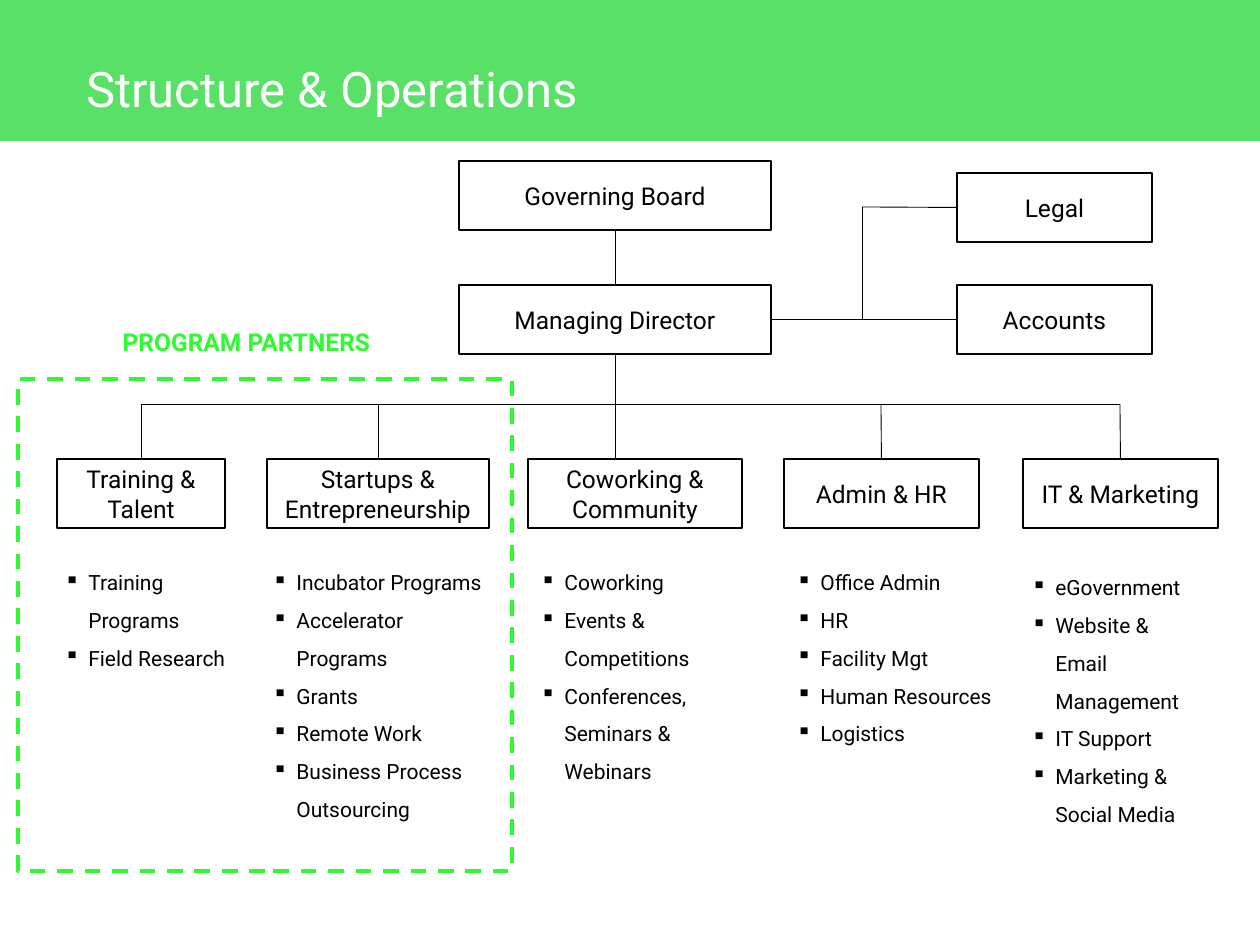
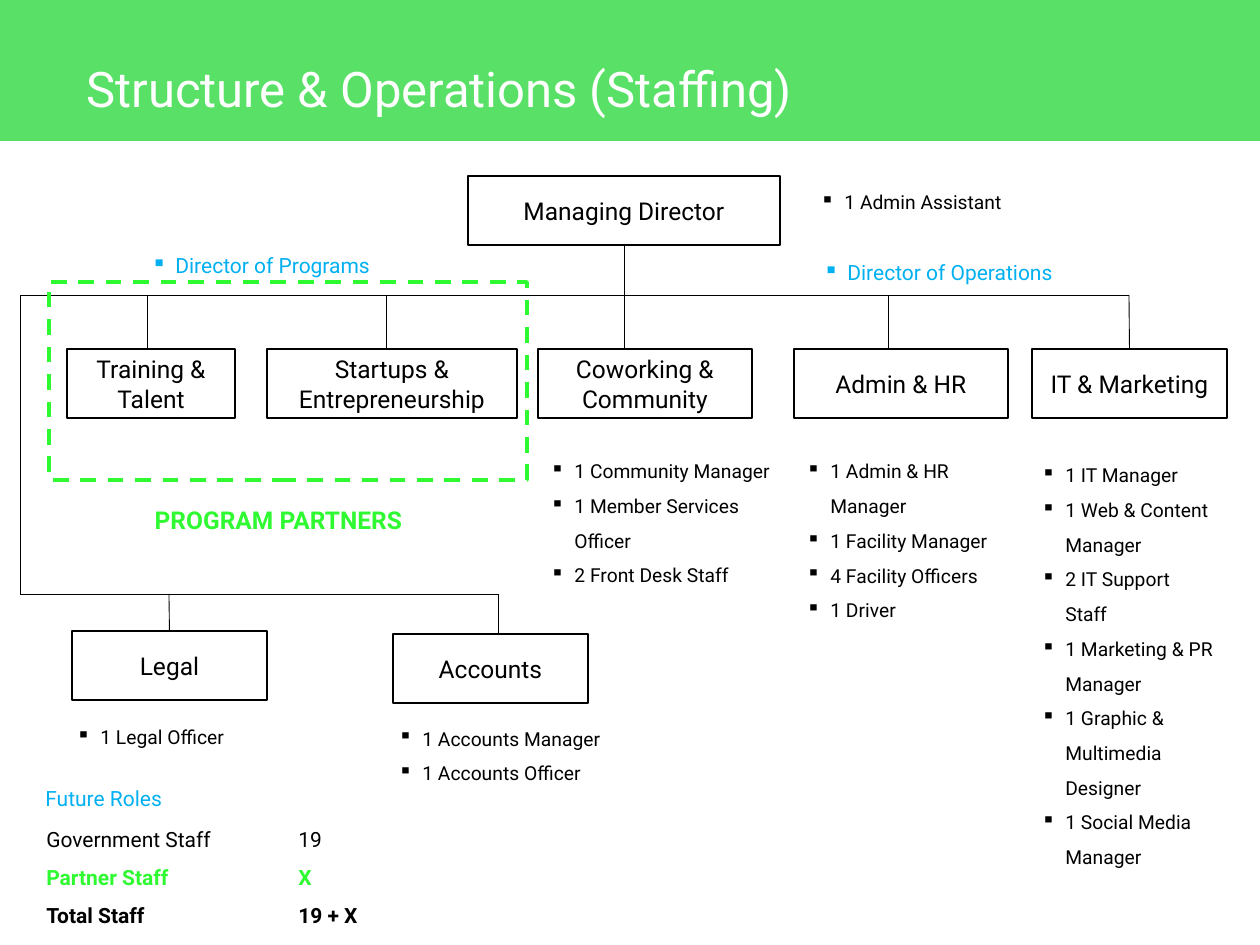
from dataclasses import dataclass
from typing import Optional

from lxml import etree
from pptx import Presentation
from pptx.dml.color import RGBColor
from pptx.enum.dml import MSO_LINE
from pptx.enum.shapes import MSO_CONNECTOR, MSO_SHAPE
from pptx.enum.text import MSO_ANCHOR, MSO_AUTO_SIZE, PP_ALIGN
from pptx.oxml.ns import qn
from pptx.util import Emu, Pt

COLORS = {"band": "58E166", "partner": "2FF931", "future": "00B0F0",
          "ink": "000000", "paper": "FFFFFF"}
FONT = "Roboto"
SLIDE_W, SLIDE_H = 1260, 945
BAND_H = 141
BOX_H = 69
BULLET_INDENT = 24
TOTALS_TAB = 252
JOIN_TOLERANCE = 3
TOP, LEFT, BOTTOM, RIGHT = range(4)


@dataclass(frozen=True)
class Unit:
    """A box of the chart; drop_x is where its line leaves the bus."""
    text: str
    x: int
    y: int
    w: int
    drop_x: int = 0


@dataclass(frozen=True)
class Line:
    text: str
    color: str = "ink"
    bold: bool = False


@dataclass(frozen=True)
class Note:
    x: int
    y: int
    w: int
    h: int
    lines: tuple[Line, ...]
    size: int
    bullet: bool = False
    spacing: Optional[float] = 1.5
    align: Optional[PP_ALIGN] = None
    tab: int = 0


def px(n: float) -> Emu:
    return Emu(round(n * 914400 / 126))


def rgb(name: str) -> RGBColor:
    return RGBColor.from_string(COLORS[name])


def add_run(p, line: Line, size: int) -> None:
    r = p.add_run()
    r.text = line.text
    r.font.name, r.font.size, r.font.bold = FONT, Pt(size), line.bold
    r.font.color.rgb = rgb(line.color)


def add_rect(s, x: int, y: int, w: int, h: int, fill: str = "", line: str = "",
             width: float = 1):
    sp = s.shapes.add_shape(MSO_SHAPE.RECTANGLE, px(x), px(y), px(w), px(h))
    sp.shadow.inherit = False
    if fill:
        sp.fill.solid()
        sp.fill.fore_color.rgb = rgb(fill)
    else:
        sp.fill.background()
    if line:
        sp.line.color.rgb = rgb(line)
        sp.line.width = Pt(width)
    else:
        sp.line.fill.background()
    return sp


def add_unit(s, unit: Unit):
    sp = add_rect(s, unit.x, unit.y, unit.w, BOX_H, "paper", "ink")
    tf = sp.text_frame
    tf.word_wrap = True
    tf.vertical_anchor = MSO_ANCHOR.MIDDLE
    p = tf.paragraphs[0]
    p.alignment = PP_ALIGN.CENTER
    add_run(p, Line(unit.text), 14)
    return sp


def add_partner_frame(s, x: int, y: int, w: int, h: int) -> None:
    add_rect(s, x, y, w, h, line="partner", width=2.25).line.dash_style = MSO_LINE.DASH


def add_note(s, note: Note) -> None:
    tf = s.shapes.add_textbox(px(note.x), px(note.y), px(note.w), px(note.h)).text_frame
    tf.word_wrap = True
    tf.auto_size = MSO_AUTO_SIZE.SHAPE_TO_FIT_TEXT
    for i, line in enumerate(note.lines):
        p = tf.add_paragraph() if i else tf.paragraphs[0]
        pPr = p._p.get_or_add_pPr()
        if note.bullet:
            pPr.set("marL", str(px(BULLET_INDENT)))
            pPr.set("indent", str(-px(BULLET_INDENT)))
            etree.SubElement(pPr, qn("a:buChar")).set("char", "▪")
        if note.tab:
            tabs = etree.SubElement(pPr, qn("a:tabLst"))
            tab = etree.SubElement(tabs, qn("a:tab"))
            tab.set("pos", str(px(note.tab)))
            tab.set("algn", "l")
        p.line_spacing = note.spacing
        p.alignment = note.align
        add_run(p, line, note.size)


def add_bullets(s, x: int, y: int, w: int, h: int, size: int, *texts: str,
                color: str = "ink") -> None:
    lines = tuple(Line(text, color) for text in texts)
    add_note(s, Note(x, y, w, h, lines, size, bullet=True))


def add_line(s, x1: int, y1: int, x2: int, y2: int, begin=None, end=None) -> None:
    """Draw a thin line; begin and end are optional (shape, side) joints."""
    c = s.shapes.add_connector(MSO_CONNECTOR.STRAIGHT, px(x1), px(y1), px(x2), px(y2))
    c.line.color.rgb = rgb("ink")
    c.line.width = Pt(0.5)
    etree.SubElement(c._element.spPr, qn("a:effectLst"))
    if begin:
        c.begin_connect(*begin)
    if end:
        c.end_connect(*end)


def add_branch(s, bus_y: int, units: list[Unit], start_x: Optional[int] = None) -> None:
    """Draw units hanging from a bus, joined where a drop meets the box's middle."""
    drops = []
    for unit in units:
        sp = add_unit(s, unit)
        middle = unit.x + unit.w // 2
        joined = abs(middle - unit.drop_x) <= JOIN_TOLERANCE
        x = middle if joined else unit.drop_x
        add_line(s, x, bus_y, x, unit.y, end=(sp, TOP) if joined else None)
        drops.append(x)
    add_line(s, drops[0] if start_x is None else start_x, bus_y, drops[-1], bus_y)


def add_partner_label(s, x: int, y: int) -> None:
    add_note(s, Note(x, y, 389, 43, (Line("PROGRAM PARTNERS", "partner", True),), 14,
                     spacing=None, align=PP_ALIGN.CENTER))


def add_titled_slide(prs, title: str, w: int):
    s = prs.slides.add_slide(prs.slide_layouts[6])
    add_rect(s, 0, 0, SLIDE_W, BAND_H, "band")
    add_note(s, Note(74, 52, w, 72, (Line(title, "paper"),), 28, spacing=None))
    return s


def build_structure(prs) -> None:
    s = add_titled_slide(prs, "Structure & Operations", 668)
    board = add_unit(s, Unit("Governing Board", 459, 161, 312))
    director = add_unit(s, Unit("Managing Director", 459, 285, 312))
    legal = add_unit(s, Unit("Legal", 957, 173, 195))
    accounts = add_unit(s, Unit("Accounts", 957, 285, 195))

    add_line(s, 615, 230, 615, 285, (board, BOTTOM), (director, TOP))
    add_line(s, 615, 354, 615, 404, (director, BOTTOM))
    add_line(s, 771, 320, 957, 320, (director, RIGHT), (accounts, LEFT))
    add_line(s, 862, 207, 862, 320)
    add_line(s, 862, 207, 957, 207, end=(legal, LEFT))

    y = 459
    add_branch(s, 404, [
        Unit("Training & Talent", 57, y, 168, 139),
        Unit("Startups & Entrepreneurship", 267, y, 222, 377),
        Unit("Coworking & Community", 528, y, 214, 615),
        Unit("Admin & HR", 784, y, 195, 878),
        Unit("IT & Marketing", 1023, y, 195, 1119),
    ])
    y = 551
    add_bullets(s, 52, y, 203, 123, 12, "Training Programs", "Field Research")
    add_bullets(s, 260, y, 236, 277, 12, "Incubator Programs", "Accelerator Programs",
                "Grants", "Remote Work", "Business Process Outsourcing")
    add_bullets(s, 528, y, 236, 238, 12, "Coworking", "Events & Competitions",
                "Conferences, Seminars & Webinars")
    add_bullets(s, 784, y, 224, 200, 12, "Office Admin", "HR", "Facility Mgt",
                "Human Resources", "Logistics")
    add_bullets(s, 1019, 556, 199, 277, 12, "eGovernment", "Website & Email Management",
                "IT Support", "Marketing & Social Media")
    add_partner_frame(s, 18, 379, 494, 492)
    add_partner_label(s, 52, 321)


def build_staffing(prs) -> None:
    s = add_titled_slide(prs, "Structure & Operations (Staffing)", 866)
    director = add_unit(s, Unit("Managing Director", 468, 176, 312))
    add_line(s, 624, 245, 624, 295, (director, BOTTOM))

    y, left_x = 349, 20
    add_branch(s, 295, [
        Unit("Training & Talent", 67, y, 168, 147),
        Unit("Startups & Entrepreneurship", 267, y, 250, 386),
        Unit("Coworking & Community", 538, y, 214, 624),
        Unit("Admin & HR", 794, y, 214, 888),
        Unit("IT & Marketing", 1032, y, 195, 1128),
    ], left_x)
    add_line(s, left_x, 295, left_x, 594)
    add_branch(s, 594, [
        Unit("Legal", 72, 631, 195, 170),
        Unit("Accounts", 393, 634, 195, 498),
    ], left_x)

    add_bullets(s, 808, 173, 247, 44, 11, "1 Admin Assistant")
    add_bullets(s, 139, 234, 256, 48, 12, "Director of Programs", color="future")
    add_bullets(s, 811, 241, 310, 48, 12, "Director of Operations", color="future")
    add_bullets(s, 538, 442, 247, 150, 11, "1 Community Manager",
                "1 Member Services Officer", "2 Front Desk Staff")
    add_bullets(s, 794, 442, 238, 185, 11, "1 Admin & HR Manager", "1 Facility Manager",
                "4 Facility Officers", "1 Driver")
    add_bullets(s, 1029, 446, 199, 465, 11, "1 IT Manager", "1 Web & Content Manager",
                "2 IT Support Staff", "1 Marketing & PR Manager",
                "1 Graphic & Multimedia Designer", "1 Social Media Manager")
    add_bullets(s, 64, 708, 238, 44, 11, "1 Legal Officer")
    add_bullets(s, 386, 709, 238, 79, 11, "1 Accounts Manager", "1 Accounts Officer")
    add_partner_frame(s, 49, 282, 478, 198)
    add_partner_label(s, 84, 499)

    add_note(s, Note(33, 767, 310, 48, (Line("Future Roles", "future"),), 12))
    add_note(s, Note(34, 808, 401, 123, (
        Line("Government Staff\t19"),
        Line("Partner Staff\tX", "partner", True),
        Line("Total Staff\t19 + X", bold=True),
    ), 12, tab=TOTALS_TAB))


def main() -> None:
    prs = Presentation()
    prs.slide_width, prs.slide_height = px(SLIDE_W), px(SLIDE_H)
    build_structure(prs)
    build_staffing(prs)
    prs.save("out.pptx")


if __name__ == "__main__":
    main()
